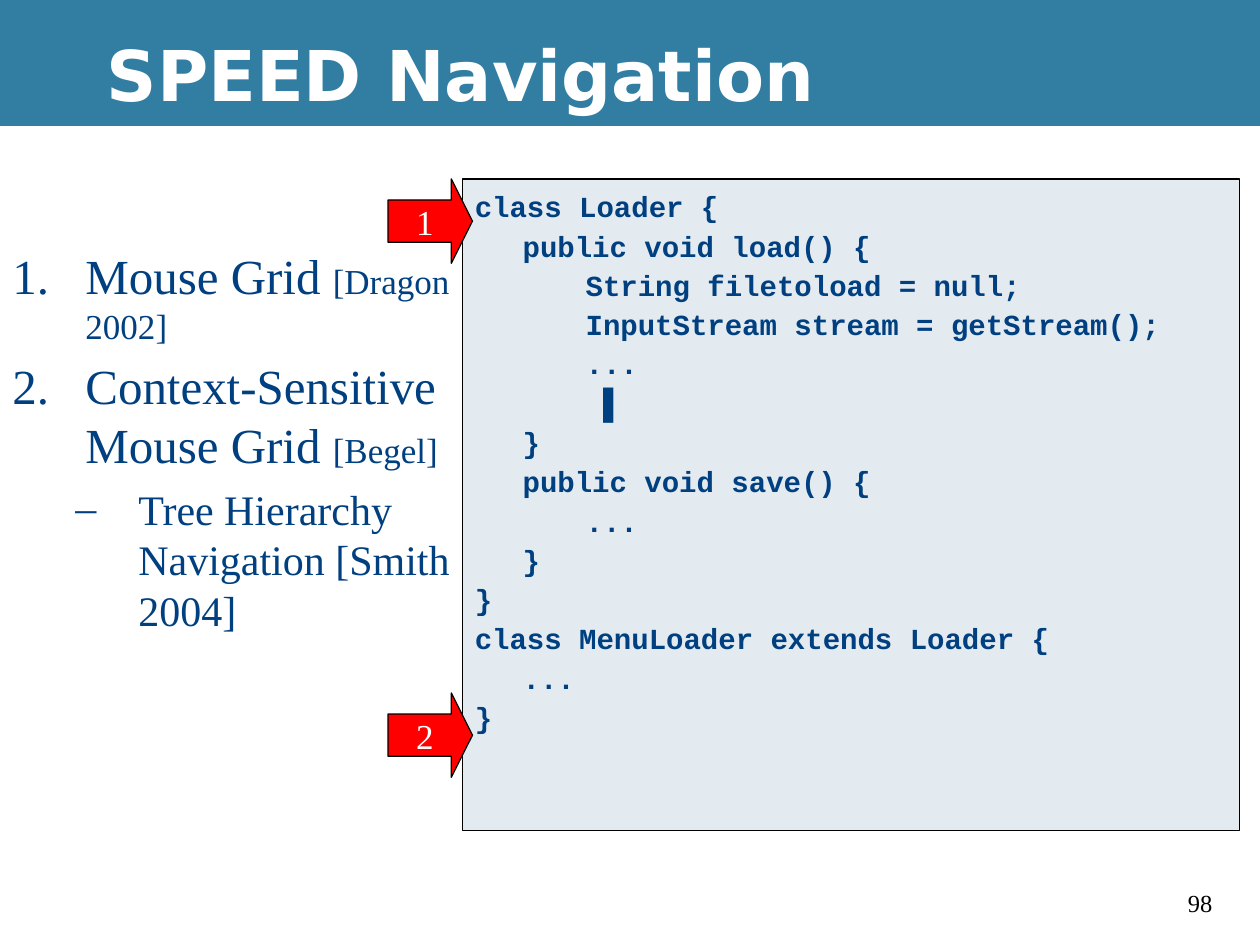
from lxml import etree
from pptx import Presentation
from pptx.dml.color import RGBColor
from pptx.enum.shapes import MSO_SHAPE as Shape
from pptx.enum.text import MSO_ANCHOR as Anchor, PP_ALIGN as Align
from pptx.oxml.ns import qn
from pptx.util import Inches, Pt

BLACK = RGBColor(0x00, 0x00, 0x00)
WHITE = RGBColor(0xFF, 0xFF, 0xFF)
TEAL = RGBColor(0x32, 0x7E, 0xA3)
NAVY = RGBColor(0x00, 0x40, 0x80)
PALE = RGBColor(0xE3, 0xEB, 0xF1)
RED = RGBColor(0xFF, 0x00, 0x00)

SERIF = "Times New Roman"
TITLE = {"name": "DejaVu Sans", "size": Pt(40), "bold": True}
CODE = {"name": "Courier New", "size": Pt(16.6), "bold": True}
CARET = {**CODE, "name": "Arial"}
TOPIC = {"name": SERIF, "size": Pt(28)}
CITATION = {"name": SERIF, "size": Pt(20)}
SUBTOPIC = {"name": SERIF, "size": Pt(24)}
MARKER = {"name": SERIF, "size": Pt(20)}
PAGE_NUMBER = {"name": SERIF, "size": Pt(14)}

CODE_LINES = [
    "class Loader {",
    "\tpublic void load() {",
    "\t\tString filetoload = null;",
    "\t\tInputStream stream = getStream();",
    "\t\t...",
    "\t\t ▌",
    "\t}",
    "\tpublic void save() {",
    "\t\t...",
    "\t}",
    "}",
    "class MenuLoader extends Loader {",
    "\t...",
    "}",
]


def set_attributes(target, values):
    for name, value in values.items():
        setattr(target, name, value)


def add_child(parent, tag, **attributes):
    child = etree.SubElement(parent, qn(tag))
    for name, value in attributes.items():
        child.set(name, str(value))
    return child


class SlideBuilder:
    def __init__(self, page):
        self.page = page

    def shape(self, kind, left, top, width, height, fill, line=None):
        shape = self.page.shapes.add_shape(
            kind, Inches(left), Inches(top), Inches(width), Inches(height))
        shape.shadow.inherit = False
        shape.fill.solid()
        shape.fill.fore_color.rgb = fill
        if line is None:
            shape.line.fill.background()
        else:
            shape.line.color.rgb = line
            shape.line.width = Pt(0.75)
        return shape

    def text_box(self, left, top, width, height, **frame):
        box = self.page.shapes.add_textbox(
            Inches(left), Inches(top), Inches(width), Inches(height))
        set_attributes(box.text_frame, {"word_wrap": True, **frame})
        return box

    def paragraph(self, box, spans, color, indent=None, bullet=None, tabs=(), **layout):
        """Fill the empty first paragraph or append one; indent is (left, first line)."""
        frame = box.text_frame
        first = not frame.paragraphs[0].runs
        para = frame.paragraphs[0] if first else frame.add_paragraph()
        properties = para._p.get_or_add_pPr()
        if indent:
            for name, value in zip(("marL", "indent"), indent):
                properties.set(name, str(Inches(value)))
        if bullet:
            bullet_color = add_child(properties, "a:buClr")
            add_child(bullet_color, "a:srgbClr", val=color)
            add_child(properties, "a:buFont", typeface=SERIF)
            if bullet == "number":
                add_child(properties, "a:buAutoNum", type="arabicPeriod")
            else:
                add_child(properties, "a:buChar", char=bullet)
        if tabs:
            tab_list = add_child(properties, "a:tabLst")
            for position in tabs:
                add_child(tab_list, "a:tab", pos=Inches(position), algn="l")
        if first:
            layout["space_before"] = Pt(0)
        set_attributes(para, layout)
        for text, style in spans:
            span = para.add_run()
            span.text = text
            set_attributes(span.font, style)
            span.font.color.rgb = color

    def code_panel(self, left, top, width, height, lines):
        panel = self.shape(Shape.RECTANGLE, left, top, width, height, PALE, BLACK)
        set_attributes(panel.text_frame, {
            "word_wrap": True, "vertical_anchor": Anchor.TOP, "margin_top": Inches(0.11)})
        for line in lines:
            before, caret, _ = line.partition("▌")
            spans = [(before, CODE)] + ([(caret, CARET)] if caret else [])
            self.paragraph(panel, spans, NAVY, indent=(0.38, -0.38), tabs=range(8),
                           alignment=Align.LEFT, line_spacing=0.9, space_before=Pt(4.5))

    def marker(self, left, top, label):
        arrow = self.shape(Shape.RIGHT_ARROW, left, top, 0.67, 0.67, RED, BLACK)
        arrow.adjustments[1] = 0.25
        set_attributes(arrow.text_frame, {
            "word_wrap": False, "vertical_anchor": Anchor.MIDDLE})
        self.paragraph(arrow, [(label, MARKER)], WHITE, alignment=Align.CENTER)


def main():
    deck = Presentation()
    deck.slide_width, deck.slide_height = Inches(10), Inches(7.5)
    page = deck.slides.add_slide(deck.slide_layouts[6])
    page.background.fill.solid()
    page.background.fill.fore_color.rgb = BLACK
    builder = SlideBuilder(page)

    builder.shape(Shape.RECTANGLE, 0, 1, 10, 6.5, WHITE)
    builder.shape(Shape.RECTANGLE, 0, 0, 10, 1, TEAL)

    number = builder.text_box(9.33, 7, 0.5, 0.34)
    builder.paragraph(number, [("98", PAGE_NUMBER)], BLACK)
    title = builder.text_box(0.75, 0.08, 9.25, 1, vertical_anchor=Anchor.MIDDLE)
    builder.paragraph(title, [("SPEED Navigation", TITLE)], WHITE)

    topics = builder.text_box(0, 1.83, 3.83, 4.83, margin_top=Inches(0.12))
    for topic, citation in (("Mouse Grid ", "[Dragon 2002]"),
                            ("Context-Sensitive Mouse Grid ", "[Begel]")):
        builder.paragraph(topics, [(topic, TOPIC), (citation, CITATION)], NAVY,
                          indent=(0.58, -0.58), bullet="number", space_before=Pt(5))
    builder.paragraph(topics, [("Tree Hierarchy Navigation [Smith 2004]", SUBTOPIC)], NAVY,
                      indent=(1, -0.5), bullet="–", level=1, space_before=Pt(6))

    builder.code_panel(3.67, 1.42, 6.17, 5.17, CODE_LINES)
    for label, top in (("1", 1.42), ("2", 5.5)):
        builder.marker(3.08, top, label)

    deck.save("out.pptx")


if __name__ == "__main__":
    main()
